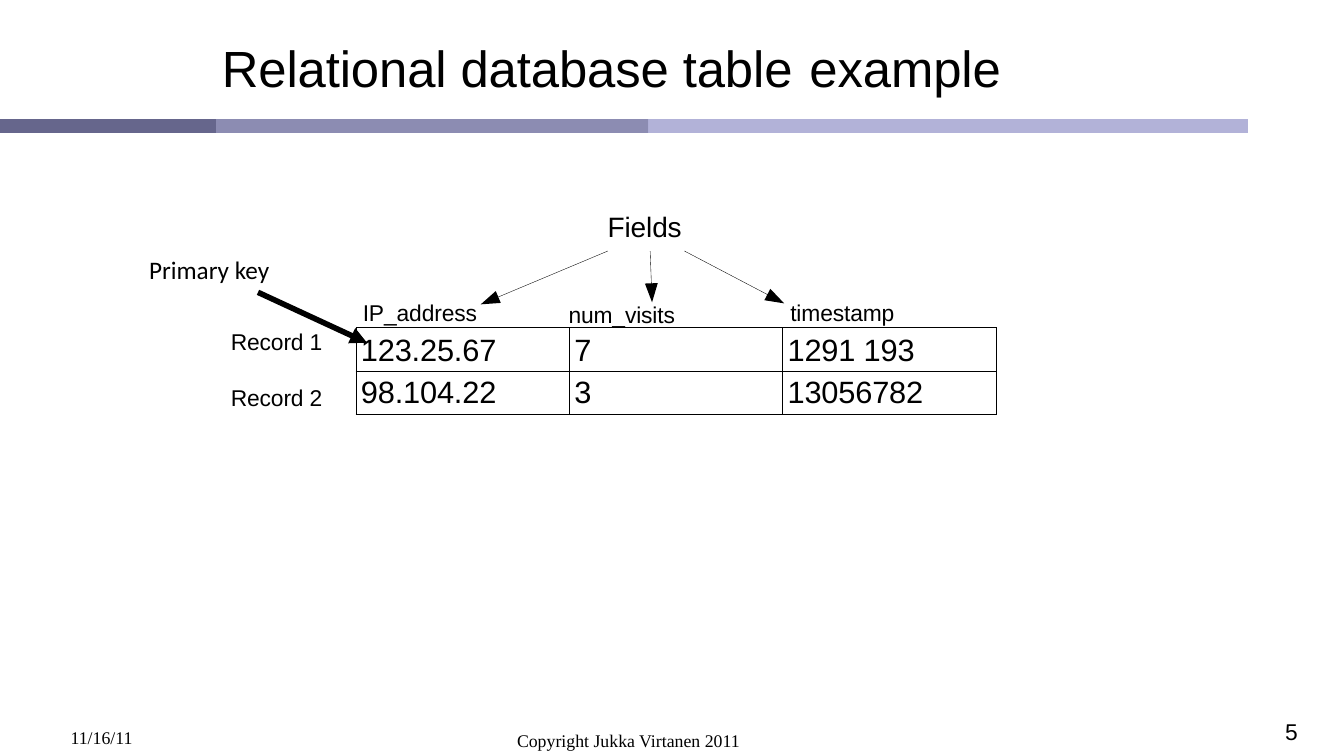
from math import hypot

from lxml.etree import SubElement
from pptx import Presentation
from pptx.dml.color import RGBColor
from pptx.enum.shapes import MSO_CONNECTOR, MSO_SHAPE
from pptx.oxml.ns import qn
from pptx.util import Pt

BLACK = RGBColor(0, 0, 0)
NAVY = RGBColor(0x33, 0x33, 0x66)
SLATE = RGBColor(0x66, 0x66, 0x99)
LILAC = RGBColor(0x99, 0x99, 0xCC)

TIGHT = (0.7, 1.6, 0, 0)
FLAT = (0.7, 0, 0, 0)
SIDES = ("margin_left", "margin_top", "margin_right", "margin_bottom")
LABEL = {"name": "Arial", "size": Pt(16.3)}
SMALL = {"name": "Times New Roman", "size": Pt(12.7)}


def apply(item, values):
    for name, value in values.items():
        setattr(item, name, value)


def pads(insets):
    return dict(zip(SIDES, map(Pt, insets)))


class Painter:
    def __init__(self, slide):
        self.shapes = slide.shapes
        self.font = {"name": "Arial", "size": Pt(22)}

    def add_run(self, para, text, font):
        run = para.add_run()
        run.text = text
        apply(run.font, {**self.font, **font})
        run.font.color.rgb = BLACK
        if run.font.name == "Arial":
            run._r.get_or_add_rPr().set("spc", "-10")

    def text(self, box, lines, font, insets=TIGHT, gap=0, pitch=None, tab=None):
        """Lines are paragraphs; gap is the space before each but the first."""
        frame = self.shapes.add_textbox(*map(Pt, box)).text_frame
        apply(frame, {"word_wrap": True, **pads(insets)})
        for i, line in enumerate(lines):
            para = frame.add_paragraph() if i else frame.paragraphs[0]
            if i:
                para.space_before = Pt(gap)
            if pitch:
                para.line_spacing = Pt(pitch)
            if tab:
                stops = SubElement(para._p.get_or_add_pPr(), qn("a:tabLst"))
                SubElement(stops, qn("a:tab"), pos=str(Pt(tab)), algn="l")
            self.add_run(para, line, font)

    def bar(self, left, right, color):
        bar = self.shapes.add_shape(
            MSO_SHAPE.RECTANGLE, Pt(left), Pt(85), Pt(right - left), Pt(10))
        bar.shadow.inherit = False
        bar.line.fill.background()
        bar.fill.solid()
        bar.fill.fore_color.rgb = color
        tint = bar._element.spPr.find(".//" + qn("a:srgbClr"))
        SubElement(tint, qn("a:alpha"), val="75000")

    def line(self, start, end, width, head=False):
        line = self.shapes.add_connector(
            MSO_CONNECTOR.STRAIGHT, *map(Pt, (*start, *end)))
        line.line.width = Pt(width)
        line.line.color.rgb = BLACK
        props = line._element.spPr
        if head:
            SubElement(props.find(qn("a:ln")), qn("a:tailEnd"), type="triangle")
        SubElement(props, qn("a:effectLst"))

    def arrow(self, start, tip, length=13.6, half=4.6, stop=11):
        """Hairline shaft ending inside a large solid head."""
        (x, y), (tx, ty) = start, tip
        size = hypot(tx - x, ty - y)
        ux, uy = (tx - x) / size, (ty - y) / size
        self.line(start, (tx - stop * ux, ty - stop * uy), 0.25)
        bx, by = tx - length * ux, ty - length * uy
        base = [(bx + s * half * uy, by - s * half * ux) for s in (1, -1)]
        edge = self.shapes.build_freeform(Pt(tx), Pt(ty))
        edge.add_line_segments([(Pt(a), Pt(b)) for a, b in base], close=True)
        head = edge.convert_to_shape()
        head.shadow.inherit = False
        head.fill.solid()
        head.fill.fore_color.rgb = BLACK
        head.line.fill.background()

    def border(self, cell):
        props = cell._tc.get_or_add_tcPr()
        for side in ("lnL", "lnR", "lnT", "lnB"):
            edge = SubElement(props, qn("a:" + side), w=str(Pt(0.25)))
            fill = SubElement(edge, qn("a:solidFill"))
            SubElement(fill, qn("a:srgbClr"), val=str(BLACK))

    def table(self, box, rows, tops):
        grid = self.shapes.add_table(
            len(rows), len(rows[0]), *map(Pt, box)).table
        apply(grid, {"first_row": False, "horz_banding": False})
        for r, (row, top) in enumerate(zip(rows, tops)):
            for c, value in enumerate(row):
                cell = grid.cell(r, c)
                apply(cell, pads((3.6, top, 0, 0)))
                self.border(cell)
                cell.fill.background()
                self.add_run(cell.text_frame.paragraphs[0], value, {})


def main():
    deck = Presentation()
    apply(deck, {"slide_width": Pt(960), "slide_height": Pt(540)})
    pen = Painter(deck.slides.add_slide(deck.slide_layouts[6]))

    pen.bar(154.3, 462.9, SLATE)
    pen.bar(0, 154.3, NAVY)
    pen.bar(462.9, 891.4, LILAC)
    pen.text((157.7, 24.5, 558, 44.6), ["Relational database table\texample"],
             {"size": Pt(36.3)}, tab=419.8)

    pen.table((254.2, 234, 457.2, 62),
              [("123.25.67", "7", "1291 193"),
               ("98.104.22", "3", "13056782")], (4.4, 3.1))
    for left, top, width, name in (
            (258.5, 211.7, 84.2, "IP_address"),
            (405.4, 213.1, 79.2, "num_visits"),
            (563.8, 211.7, 77, "timestamp")):
        pen.text((left, top, width, 20.9), [name], LABEL)

    pen.text((433.4, 148.3, 54.7, 25.2), ["Fields"], {"size": Pt(20)})
    for x, tip in ((434.2, (343.4, 217.4)), (464.4, (465.8, 216)),
                   (488.9, (560.2, 216.7))):
        pen.arrow((x, 179.3), tip)

    pen.text((164.2, 232.6, 67.7, 60.5), ["Record 1", "Record 2"], LABEL,
             gap=20.5)
    pen.text((915.8, 513.4, 28.8, 19.4), ["5"], LABEL, (2.2, 0, 0, 0), pitch=19)
    pen.text((49.7, 519.8, 63.4, 15.1), ["11/16/11"], SMALL, FLAT, pitch=14.8)
    pen.text((368.6, 522, 217.4, 15.1), ["Copyright Jukka Virtanen 2011"],
             SMALL, FLAT, pitch=14.8)

    pen.line((184.3, 208.8), (262.1, 244.8), 4, head=True)
    pen.text((99.4, 177.8, 148.3, 28.8), ["Primary key"],
             {"name": "Calibri", "size": Pt(18)}, (7.2, 3.6, 7.2, 3.6))
    deck.save("out.pptx")


if __name__ == "__main__":
    main()
